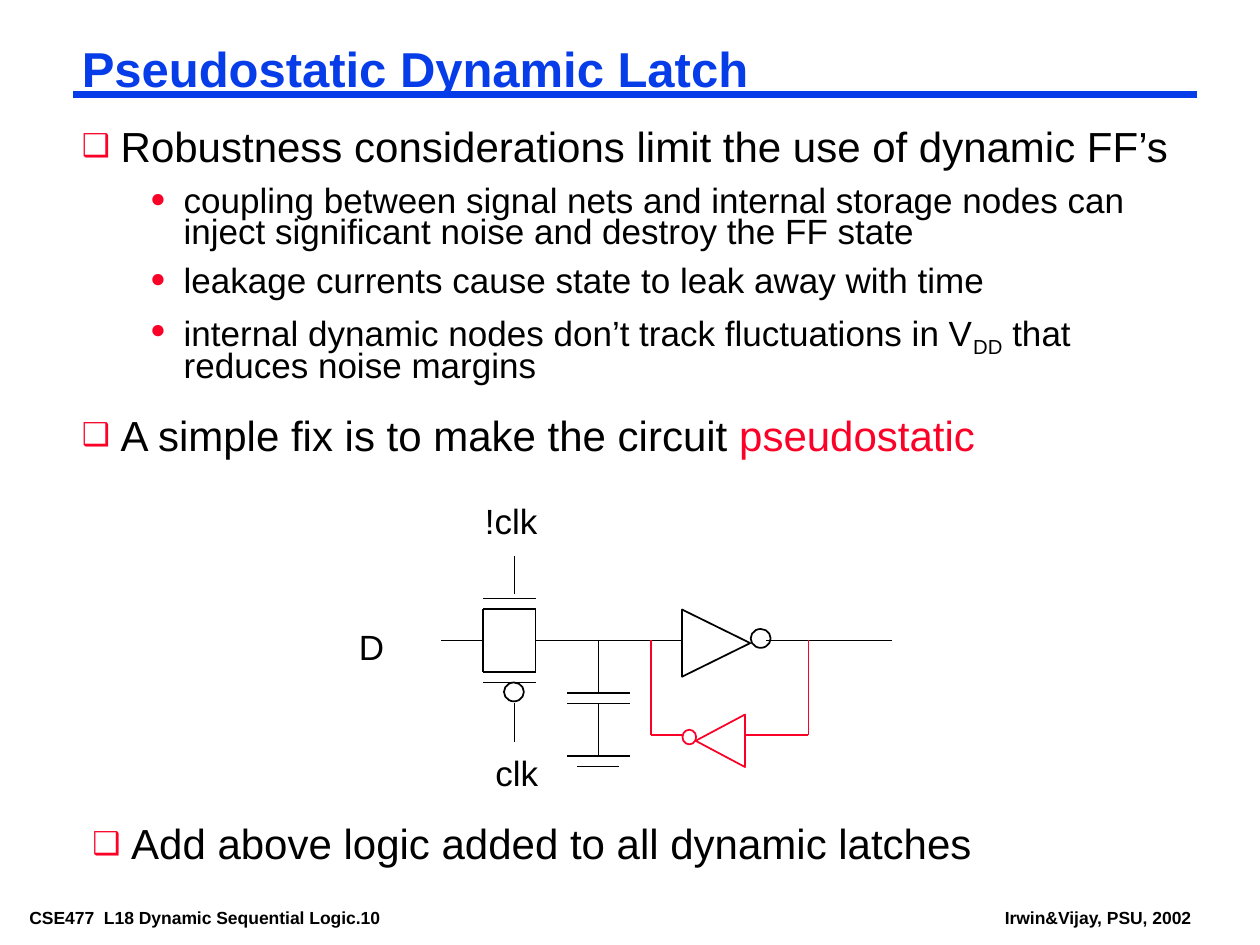
import pptx
import pptx.util
import pptx.dml.color
import pptx.enum.shapes
import pptx.enum.text
import pptx.oxml.ns
from lxml import etree

PX = 7620  # 120 px to the inch
BLACK, BLUE, RED = "000000", "063DE8", "FC0128"
SHAPE = pptx.enum.shapes.MSO_SHAPE
TIGHT, LOOSE = (8, 4), (12, 6)

# level: mark, size, left margin, hanging indent, line spacing, space before
LEVELS = [("❑", 24, 37, 37, 0.8, 19.5), ("●", 20, 97, 32, 0.75, 10)]

POINTS = [
    (0, ["Robustness considerations limit the use of dynamic FF’s"]),
    (1, ["coupling between signal nets and internal storage nodes can "
         "inject significant noise and destroy the FF state"]),
    (1, ["leakage currents cause state to leak away with time"]),
    (1, ["internal dynamic nodes don’t track fluctuations in V", "DD",
         " that reduces noise margins"]),
    (0, ["A simple fix is to make the circuit ", "pseudostatic"]),
]

GATE = [
    (551, 610, 510, 610), (460, 610, 420, 610),
    (510, 640, 460, 640), (510, 580, 460, 580),
    (460, 580, 460, 640), (510, 580, 510, 640),
    (510, 650, 460, 650), (510, 570, 460, 570),
    (490, 707, 490, 670), (490, 566, 490, 530),
]
STORE = [
    (540, 610, 650, 610), (570, 610, 570, 660),
    (540, 660, 600, 660), (540, 670, 600, 670),
    (570, 670, 570, 720), (540, 720, 600, 720), (550, 730, 590, 730),
]
OUTPUT = [(730, 610, 850, 610)]
FEEDBACK = [
    (770, 610, 770, 700), (770, 700, 710, 700),
    (650, 700, 620, 700), (620, 700, 620, 610),
]


def emu(*nums):
    return [pptx.util.Emu(n * PX) for n in nums]


def color(code):
    return pptx.dml.color.RGBColor.from_string(code)


def style(run, size, code=BLACK, bold=False):
    font = run.font
    font.name = "Arial"
    font.size = pptx.util.Pt(size)
    font.bold = bold
    font.color.rgb = color(code)


def frame(shape, pad, wrap):
    body = shape.text_frame
    body.margin_left = body.margin_right = emu(pad[0])[0]
    body.margin_top = body.margin_bottom = emu(pad[1])[0]
    body.word_wrap = wrap
    body.vertical_anchor = pptx.enum.text.MSO_ANCHOR.TOP
    return body


def label(slide, text, box, size=20, bold=False, pad=LOOSE):
    body = frame(slide.shapes.add_textbox(*emu(*box)), pad, False)
    body.text = text
    style(body.paragraphs[0].runs[0], size, bold=bold)


def bullet(para, mark, left, hang):
    props = para._p.get_or_add_pPr()
    props.set("marL", str(left * PX))
    props.set("indent", str(-hang * PX))
    qn = pptx.oxml.ns.qn
    tint = etree.SubElement(props, qn("a:buClr"))
    etree.SubElement(tint, qn("a:srgbClr"), val=RED)
    etree.SubElement(props, qn("a:buSzPct"), val="75000")
    etree.SubElement(props, qn("a:buFont"), typeface="Arial")
    etree.SubElement(props, qn("a:buChar"), char=mark)


def points(slide, box, items, gap=None):
    """Add a bulleted text box; gap overrides the line spacing."""
    body = frame(slide.shapes.add_textbox(*emu(*box)), TIGHT, True)
    for i, (level, parts) in enumerate(items):
        mark, size, left, hang, space, before = LEVELS[level]
        para = body.add_paragraph() if i else body.paragraphs[0]
        para.text = parts[0]
        para.level = level
        para.line_spacing = gap or space
        para.space_before = pptx.util.Pt(before)
        bullet(para, mark, left, hang)
        for part in parts[1:]:
            para.add_run().text = part
        for run in para.runs:
            style(run, size, RED if run.text == "pseudostatic" else BLACK)
            if run.text == "DD":
                run.font._element.set("baseline", "-25000")


def wire(slide, ends, code=BLACK, width=1):
    kind = pptx.enum.shapes.MSO_CONNECTOR.STRAIGHT
    line = slide.shapes.add_connector(kind, *emu(*ends))
    line.line.color.rgb = color(code)
    line.line.width = pptx.util.Pt(width)
    etree.SubElement(line._element.spPr, pptx.oxml.ns.qn("a:effectLst"))


def outline(slide, kind, box, code=BLACK, turn=0):
    shape = slide.shapes.add_shape(kind, *emu(*box))
    shape.rotation = turn
    shape.shadow.inherit = False
    shape.fill.background()
    shape.line.color.rgb = color(code)
    shape.line.width = pptx.util.Pt(1)


def heading(slide, text):
    title = slide.shapes.title
    title.left, title.top, title.width, title.height = emu(70, 40, 1070, 55)
    body = frame(title, TIGHT, True)
    body.text = text
    para = body.paragraphs[0]
    para.alignment = pptx.enum.text.PP_ALIGN.LEFT
    para.line_spacing = 0.87
    style(para.runs[0], 28, BLUE, True)


def circuit(slide):
    for ends in GATE + STORE + OUTPUT:
        wire(slide, ends)
    for ends in FEEDBACK:
        wire(slide, ends, RED)
    outline(slide, SHAPE.OVAL, (480, 650, 19, 18))
    outline(slide, SHAPE.ISOSCELES_TRIANGLE, (650, 580, 64, 65), turn=90)
    outline(slide, SHAPE.OVAL, (715, 599, 19, 18))
    outline(slide, SHAPE.ISOSCELES_TRIANGLE, (661, 682, 50, 47), RED, 270)
    outline(slide, SHAPE.OVAL, (650, 695, 13, 14), RED)
    label(slide, "D", (330, 590, 48, 53))
    label(slide, "!clk", (450, 470, 80, 53))
    label(slide, "clk", (460, 710, 70, 53))


def main():
    deck = pptx.Presentation()
    deck.slide_width, deck.slide_height = emu(1200, 900)
    slide = deck.slides.add_slide(deck.slide_layouts[5])
    label(slide, "CSE477  L18 Dynamic Sequential Logic.10",
          (20, 860, 413, 26), 10, True, TIGHT)
    label(slide, "Irwin&Vijay, PSU, 2002",
          (949, 860, 196, 26), 10, True, TIGHT)
    wire(slide, (70, 90, 1140, 90), BLUE, 4.5)
    heading(slide, "Pseudostatic Dynamic Latch")
    points(slide, (70, 120, 1070, 350), POINTS)
    circuit(slide)
    points(slide, (80, 780, 1070, 50),
           [(0, ["Add above logic added to all dynamic latches"])], 0.9)
    deck.save("out.pptx")


if __name__ == "__main__":
    main()
